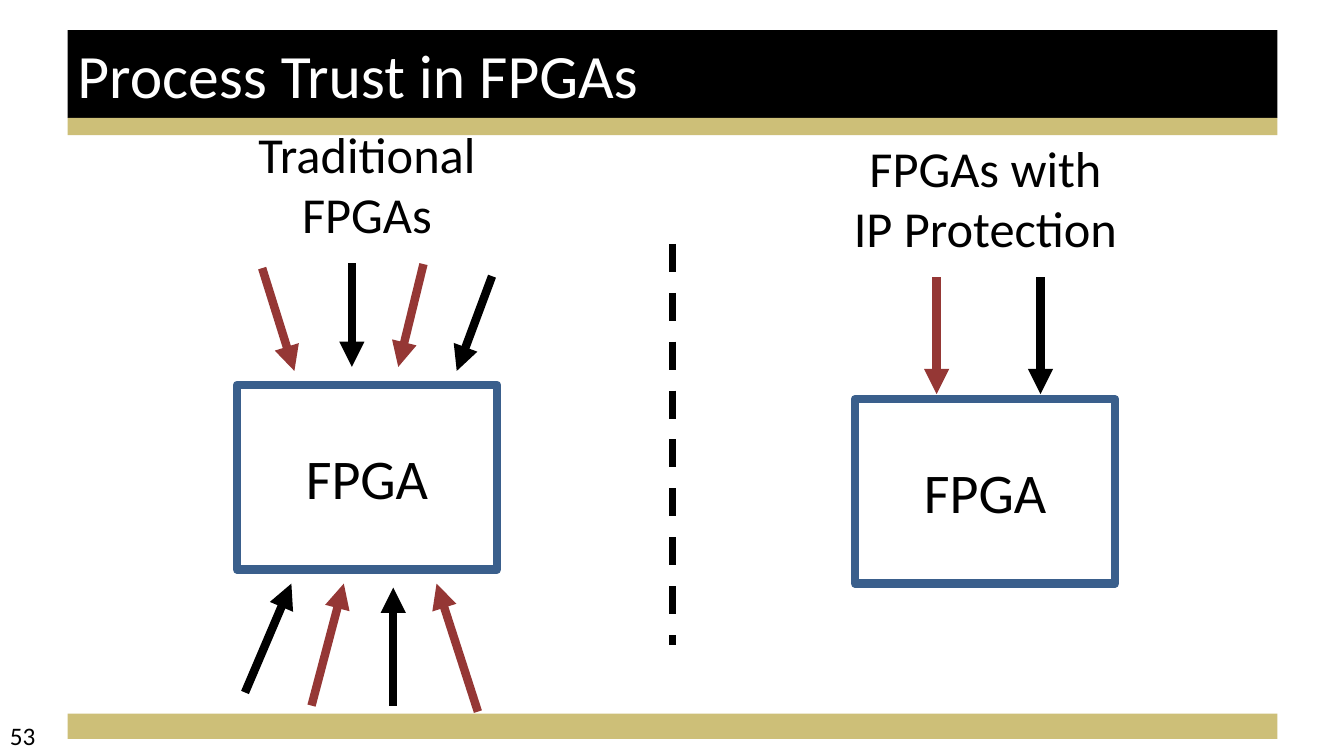
"""Build a slide comparing process trust in traditional and IP-protected FPGAs."""
from lxml import etree
from pptx import Presentation
from pptx.dml.color import RGBColor
from pptx.enum import dml, shapes, text
from pptx.oxml import ns
from pptx.util import Inches, Pt

BLACK = RGBColor(0x00, 0x00, 0x00)
WHITE = RGBColor(0xFF, 0xFF, 0xFF)
GOLD = RGBColor(0xCD, 0xBF, 0x78)
BLUE = RGBColor(0x3A, 0x5F, 0x8C)
RED = RGBColor(0x95, 0x37, 0x35)
FONT = "Calibri"

BAND_LEFT, BAND_WIDTH = 0.67, 12
FPGA_WIDTH, FPGA_HEIGHT = 2.58, 1.83

ARROWS = [
    (RED, (9.29, 2.75), (9.29, 3.91)),
    (BLACK, (10.32, 2.75), (10.32, 3.91)),
    (RED, (4.2, 2.62), (3.95, 3.64)),
    (RED, (2.6, 2.66), (2.92, 3.68)),
    (RED, (4.74, 7.06), (4.33, 5.79)),
    (RED, (3.09, 7), (3.41, 5.79)),
    (BLACK, (3.49, 2.61), (3.49, 3.64)),
    (BLACK, (4.88, 2.74), (4.53, 3.68)),
    (BLACK, (3.9, 7), (3.9, 5.83)),
    (BLACK, (2.43, 6.87), (2.89, 5.79)),
]


def write_lines(frame, lines, size, color, align, anchor):
    """Fill a text frame with one paragraph per line."""
    frame.word_wrap = True
    frame.vertical_anchor = anchor
    for index, line in enumerate(lines):
        paragraph = frame.add_paragraph() if index else frame.paragraphs[0]
        paragraph.alignment = align
        run = paragraph.add_run()
        run.text = line
        run.font.name = FONT
        run.font.size = Pt(size)
        run.font.color.rgb = color


def add_label(slide, box, lines, size, color=BLACK, align=text.PP_ALIGN.LEFT,
              anchor=text.MSO_ANCHOR.MIDDLE):
    """Add a text box at the given left, top, width and height."""
    label = slide.shapes.add_textbox(*map(Inches, box))
    write_lines(label.text_frame, lines, size, color, align, anchor)


def add_rectangle(slide, box):
    """Add a rectangle without a shadow."""
    rectangle = slide.shapes.add_shape(shapes.MSO_SHAPE.RECTANGLE, *map(Inches, box))
    rectangle.shadow.inherit = False
    return rectangle


def add_band(slide, top, height, color):
    """Add a solid horizontal band."""
    band = add_rectangle(slide, (BAND_LEFT, top, BAND_WIDTH, height))
    band.fill.solid()
    band.fill.fore_color.rgb = color
    band.line.fill.background()


def add_fpga(slide, left, top):
    """Add an outlined FPGA block."""
    block = add_rectangle(slide, (left, top, FPGA_WIDTH, FPGA_HEIGHT))
    block.fill.background()
    block.line.color.rgb = BLUE
    block.line.width = Pt(6)
    write_lines(block.text_frame, ["FPGA"], 40, BLACK,
                text.PP_ALIGN.CENTER, text.MSO_ANCHOR.MIDDLE)


def add_line(slide, start, end, color, width):
    """Add a straight line without a shadow."""
    line = slide.shapes.add_connector(
        shapes.MSO_CONNECTOR.STRAIGHT, *map(Inches, (*start, *end)))
    line.line.color.rgb = color
    line.line.width = Pt(width)
    etree.SubElement(line._element.spPr, ns.qn("a:effectLst"))
    return line


def add_arrow(slide, color, start, end):
    """Add a thick arrow pointing at its end."""
    arrow = add_line(slide, start, end, color, 6)
    etree.SubElement(arrow.line._get_or_add_ln(), ns.qn("a:tailEnd"), type="triangle")


def main():
    """Build and save the slide."""
    presentation = Presentation()
    presentation.slide_width = Inches(13.33)
    presentation.slide_height = Inches(7.5)
    slide = presentation.slides.add_slide(presentation.slide_layouts[6])

    add_band(slide, 7.08, 0.25, GOLD)
    add_band(slide, 0.3, 0.87, BLACK)
    add_band(slide, 1.17, 0.17, GOLD)
    add_label(slide, (BAND_LEFT, 0.3, BAND_WIDTH, 0.87),
              ["Process Trust in FPGAs"], 44, WHITE)
    add_label(slide, (0, 7.1, 3.11, 0.4), ["53"], 18)

    add_fpga(slide, 2.35, 3.82)
    add_fpga(slide, 8.48, 3.96)
    divider = add_line(slide, (6.67, 2.42), (6.67, 6.4), BLACK, 5)
    divider.line.dash_style = dml.MSO_LINE.DASH
    for color, start, end in ARROWS:
        add_arrow(slide, color, start, end)

    for box, lines in (
        ((2.3, 1.17, 2.68, 1.31), ["Traditional FPGAs"]),
        ((8.36, 1.31, 2.83, 1.31), ["FPGAs with", "IP Protection"]),
    ):
        add_label(slide, box, lines, 36, align=text.PP_ALIGN.CENTER,
                  anchor=text.MSO_ANCHOR.TOP)

    presentation.save("out.pptx")


if __name__ == "__main__":
    main()
